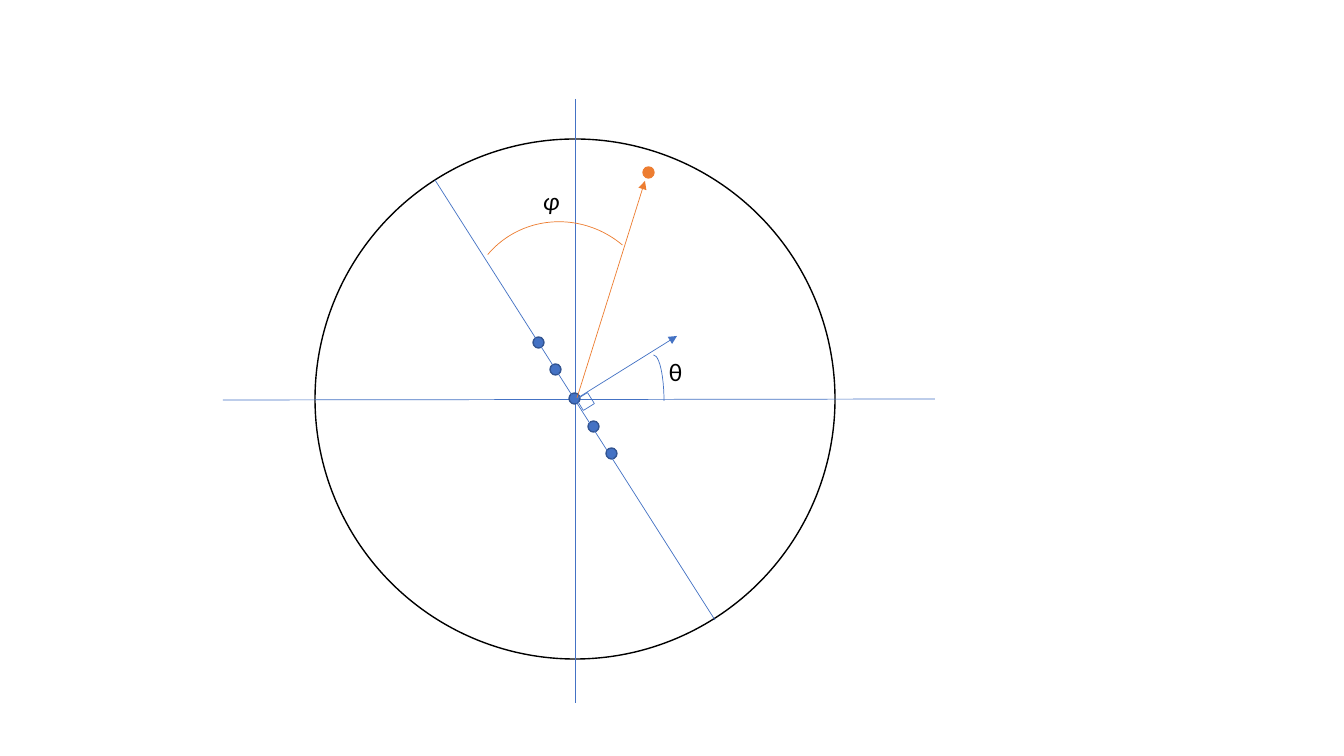
from lxml import etree
from pptx import Presentation
from pptx.dml.color import RGBColor
from pptx.enum.shapes import MSO_CONNECTOR, MSO_SHAPE
from pptx.enum.text import MSO_AUTO_SIZE
from pptx.oxml.ns import qn
from pptx.util import Pt

PIXEL = 914400 / 100.8
COLORS = {"black": "000000", "white": "FFFFFF", "blue": "4472C4",
          "dark_blue": "325491", "orange": "ED7D31"}


def add_figure(kind, box, fill, line, width, rotation=0):
    shape = slide.shapes.add_shape(kind, *[round(v * PIXEL) for v in box])
    shape.shadow.inherit = False
    shape.rotation = rotation
    if fill:
        shape.fill.solid()
        shape.fill.fore_color.rgb = RGBColor.from_string(COLORS[fill])
    else:
        shape.fill.background()
    shape.line.color.rgb = RGBColor.from_string(COLORS[line])
    shape.line.width = Pt(width)


def add_line(start, end, color, arrow=False):
    connector = slide.shapes.add_connector(
        MSO_CONNECTOR.STRAIGHT, *[round(v * PIXEL) for v in start + end])
    connector.line.color.rgb = RGBColor.from_string(COLORS[color])
    connector.line.width = Pt(0.5)
    if arrow:
        outline = connector.line._get_or_add_ln()
        etree.SubElement(outline, qn("a:tailEnd"), type="triangle")
    etree.SubElement(connector._element.spPr, qn("a:effectLst"))


presentation = Presentation()
presentation.slide_width = round(1344 * PIXEL)
presentation.slide_height = round(756 * PIXEL)
slide = presentation.slides.add_slide(presentation.slide_layouts[6])

# Circle and axes
add_figure(MSO_SHAPE.OVAL, (315, 139, 520, 520), "white", "black", 1)
add_line((575, 99), (575, 703), "blue")
add_line((935, 399), (223, 400), "blue")

# Sensors along the array
DOT = 11
for left, top in [(569, 393), (588, 421), (550, 364), (533, 337), (606, 448)]:
    add_figure(MSO_SHAPE.OVAL, (left, top, DOT, DOT), "blue", "dark_blue", 1)

# Array normal, source direction and array line
add_line((576, 399), (677, 336), "blue", arrow=True)
add_line((577, 398), (645, 181), "orange", arrow=True)
add_line((435, 180), (715, 620), "blue")

# Right angle, angle arcs and source
add_figure(MSO_SHAPE.RECTANGLE, (579, 395, 13, 13), None, "blue", 0.5, 328)
add_figure(MSO_SHAPE.ARC, (643, 355, 21, 92), None, "blue", 0.5)
add_figure(MSO_SHAPE.OVAL, (643, 167, DOT, DOT), "orange", "orange", 1)
add_figure(MSO_SHAPE.ARC, (468, 220, 188, 194), None, "orange", 0.5, 310)

# Angle labels
for text, left, top, italic in [("φ", 533, 180, True), ("θ", 659, 351, False)]:
    label = slide.shapes.add_textbox(
        *[round(v * PIXEL) for v in (left, top, 33, 41)])
    text_frame = label.text_frame
    text_frame.word_wrap = True
    text_frame.auto_size = MSO_AUTO_SIZE.SHAPE_TO_FIT_TEXT
    text_frame.text = text
    font = text_frame.paragraphs[0].runs[0].font
    font.name = "Calibri"
    font.size = Pt(18)
    font.italic = italic
    font.color.rgb = RGBColor.from_string(COLORS["black"])

presentation.save("out.pptx")
